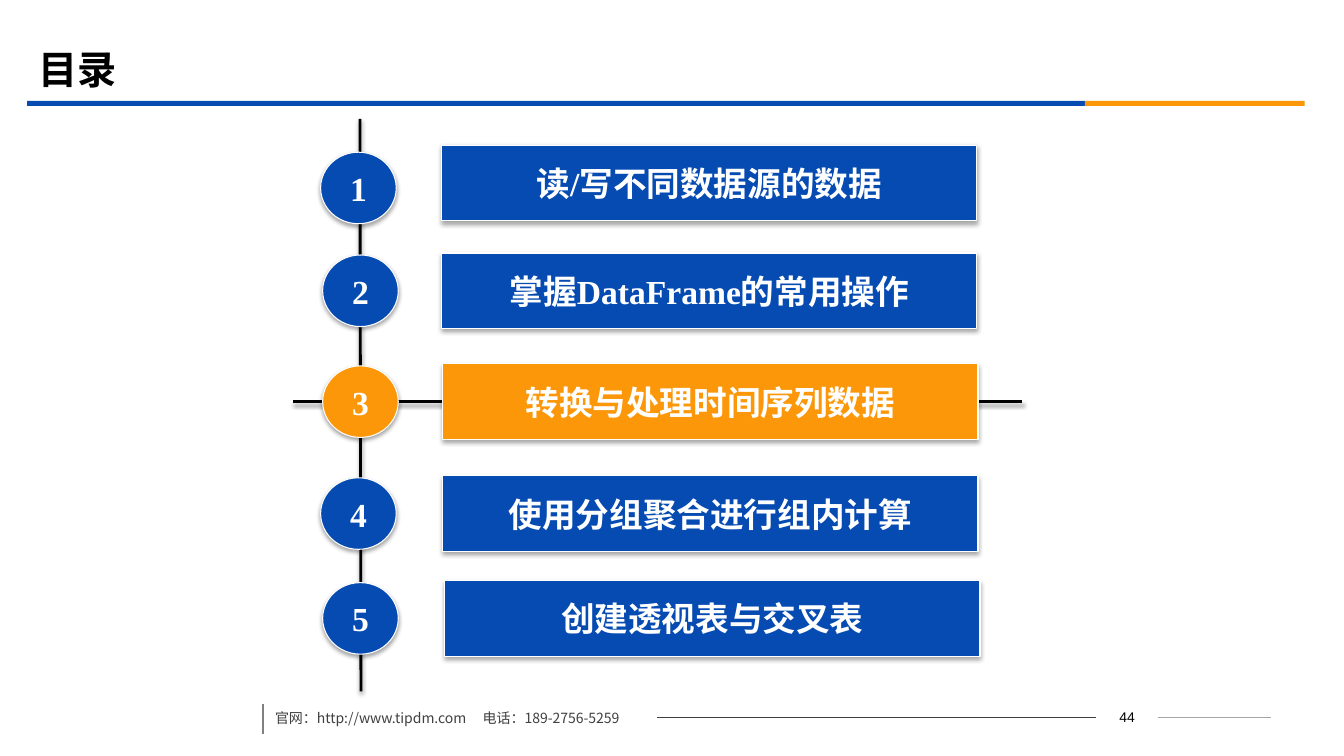
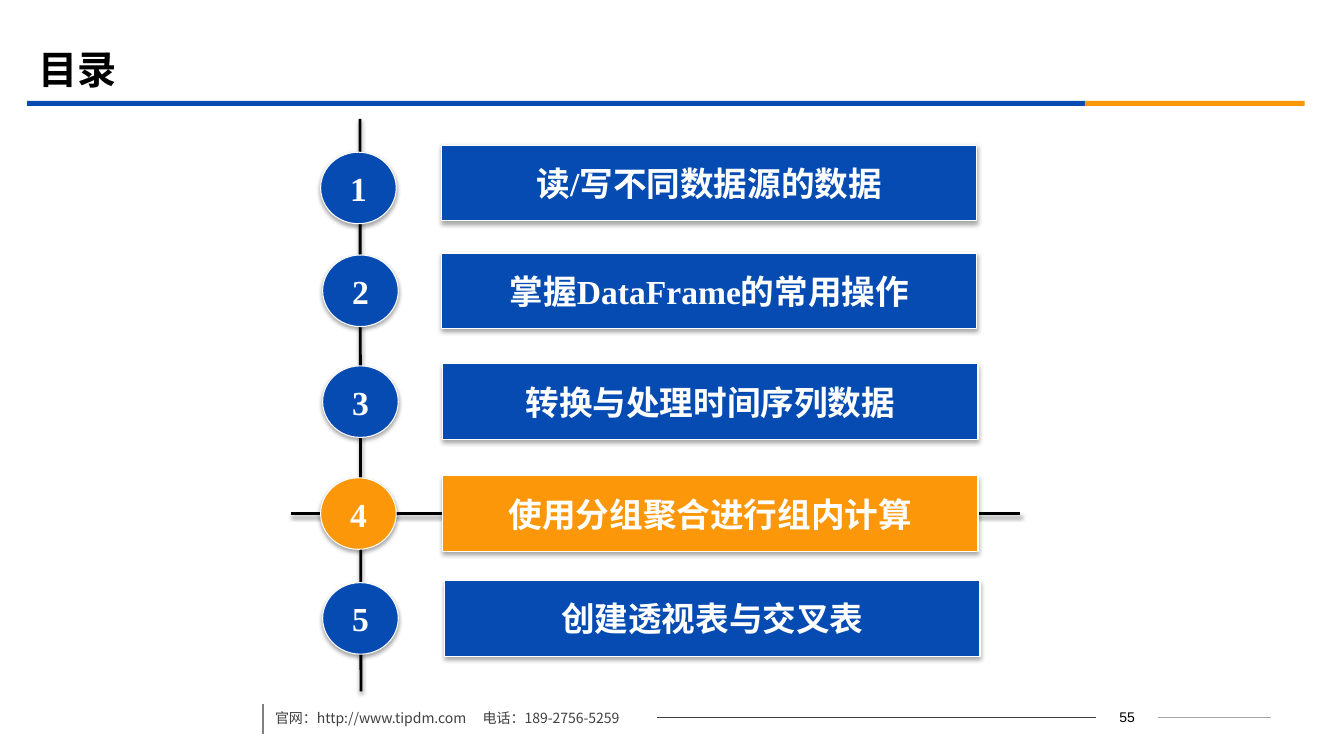
"""Builds two agenda slides, each with a different current chapter."""
from lxml import etree
from pptx import Presentation
from pptx.dml.color import RGBColor
from pptx.enum.shapes import MSO_CONNECTOR, MSO_SHAPE
from pptx.enum.text import MSO_ANCHOR, PP_ALIGN
from pptx.oxml.ns import qn
from pptx.util import Inches, Pt

STRAIGHT = MSO_CONNECTOR.STRAIGHT
RECTANGLE = MSO_SHAPE.RECTANGLE
OVAL = MSO_SHAPE.OVAL
BUTTON = MSO_SHAPE.ACTION_BUTTON_CUSTOM
MIDDLE = MSO_ANCHOR.MIDDLE
LEFT, CENTER = PP_ALIGN.LEFT, PP_ALIGN.CENTER

COLORS = {
    "blue": "064BB2",
    "orange": "FB9708",
    "black": "000000",
    "white": "FFFFFF",
    "contact": "404040",
    "divider": "808080",
    "pale": "A6A6A6",
}
SERIF, SANS, CJK = "Times New Roman", "Arial", "Noto Sans CJK SC"

CHAPTERS = [
    ("读/写不同数据源的数据", 4.38, 1.44, 3.18, 1.51),
    ("掌握DataFrame的常用操作", 4.38, 2.51, 3.2, 2.53),
    ("转换与处理时间序列数据", 4.39, 3.61, 3.2, 3.63),
    ("使用分组聚合进行组内计算", 4.39, 4.72, 3.18, 4.74),
    ("创建透视表与交叉表", 4.41, 5.76, 3.2, 5.78),
]
BAR_SIZE = (5.31, 0.75)
BADGE_SIZE = (0.75, 0.71)
MARKER_OVERHANG, MARKER_LENGTH = 0.29, 7.23


def rgb(name):
    return RGBColor.from_string(COLORS[name])


class Deck:
    def __init__(self):
        self.presentation = Presentation()
        self.presentation.slide_width = Inches(13.33)
        self.presentation.slide_height = Inches(7.5)
        self.slide = None

    def set_effects(self, element, shadow):
        effects = etree.SubElement(element, qn("a:effectLst"))
        if shadow:
            blur, distance, opacity = shadow
            outer = etree.SubElement(
                effects, qn("a:outerShdw"), blurRad=str(Pt(blur)),
                dist=str(Pt(distance)), dir="5400000", rotWithShape="0")
            color = etree.SubElement(outer, qn("a:srgbClr"), val=COLORS["black"])
            etree.SubElement(color, qn("a:alpha"), val=str(opacity * 1000))

    def set_text(self, frame, text, size, font, color, bold=False, align=LEFT, tab=None):
        frame.vertical_anchor = MIDDLE
        paragraph = frame.paragraphs[0]
        paragraph.text = text
        paragraph.alignment = align
        if tab:
            stops = etree.SubElement(paragraph._p.get_or_add_pPr(), qn("a:tabLst"))
            etree.SubElement(stops, qn("a:tab"), pos=str(Inches(tab)), algn="l")
        paragraph.font.size = Pt(size)
        paragraph.font.name = font
        paragraph.font.bold = bold
        paragraph.font.color.rgb = rgb(color)

    def text(self, box, text, size, font, color, **style):
        frame = self.slide.shapes.add_textbox(*map(Inches, box)).text_frame
        frame.word_wrap = True
        self.set_text(frame, text, size, font, color, **style)

    def line(self, start, end, color, width, shadow=None):
        rule = self.slide.shapes.add_connector(STRAIGHT, *map(Inches, start + end))
        rule.line.color.rgb = rgb(color)
        rule.line.width = Pt(width)
        self.set_effects(rule._element.spPr, shadow)

    def band(self, box, color):
        strip = self.slide.shapes.add_shape(RECTANGLE, *map(Inches, box))
        strip.shadow.inherit = False
        strip.fill.solid()
        strip.fill.fore_color.rgb = rgb(color)
        strip.line.fill.background()

    def label(self, kind, box, text, color):
        plate = self.slide.shapes.add_shape(kind, *map(Inches, box))
        plate.fill.solid()
        plate.fill.fore_color.rgb = rgb(color)
        plate.line.color.rgb = rgb("white")
        plate.line.width = Pt(0.75)
        self.set_effects(plate._element.spPr, (3.1, 1.8, 35))
        plate.text_frame.word_wrap = False
        self.set_text(plate.text_frame, text, 24, SERIF, "white", bold=True, align=CENTER)

    def start_slide(self, title, page):
        self.slide = self.presentation.slides.add_slide(self.presentation.slide_layouts[6])
        self.band((0.27, 1, 10.49, 0.05), "blue")
        self.band((10.76, 1, 2.18, 0.05), "orange")
        self.text((0.28, 0.39, 12, 0.58), title, 28, SERIF, "black", bold=True)
        self.text((10.87, 6.99, 0.62, 0.25), str(page), 10, SANS, "black", align=CENTER)
        self.line((11.49, 7.12), (12.61, 7.12), "pale", 0.75)
        self.line((6.52, 7.12), (10.87, 7.12), "contact", 0.75)
        self.line((2.61, 6.98), (2.61, 7.28), "divider", 1.25)
        self.text((2.63, 6.95, 3.8, 0.35),
                  "官网：http://www.tipdm.com\t电话：189-2756-5259",
                  10, CJK, "contact", tab=2.06)

    def agenda(self, current):
        axis_shadow = (3.1, 1.6, 38)
        self.line((3.57, 1.18), (3.58, 6.86), "black", 2, axis_shadow)
        badge_left, badge_top = CHAPTERS[current - 1][3:]
        marker_left = badge_left - MARKER_OVERHANG
        marker_y = badge_top + BADGE_SIZE[1] / 2
        self.line((marker_left, marker_y), (marker_left + MARKER_LENGTH, marker_y),
                  "black", 2, axis_shadow)
        for number, (chapter, bar_x, bar_y, badge_x, badge_y) in enumerate(CHAPTERS, 1):
            color = "orange" if number == current else "blue"
            self.label(BUTTON, (bar_x, bar_y) + BAR_SIZE, chapter, color)
            self.label(OVAL, (badge_x, badge_y) + BADGE_SIZE, str(number), color)


def main():
    deck = Deck()
    for page, current in ((44, 3), (55, 4)):
        deck.start_slide("目录", page)
        deck.agenda(current)
    deck.presentation.save("out.pptx")


if __name__ == "__main__":
    main()
